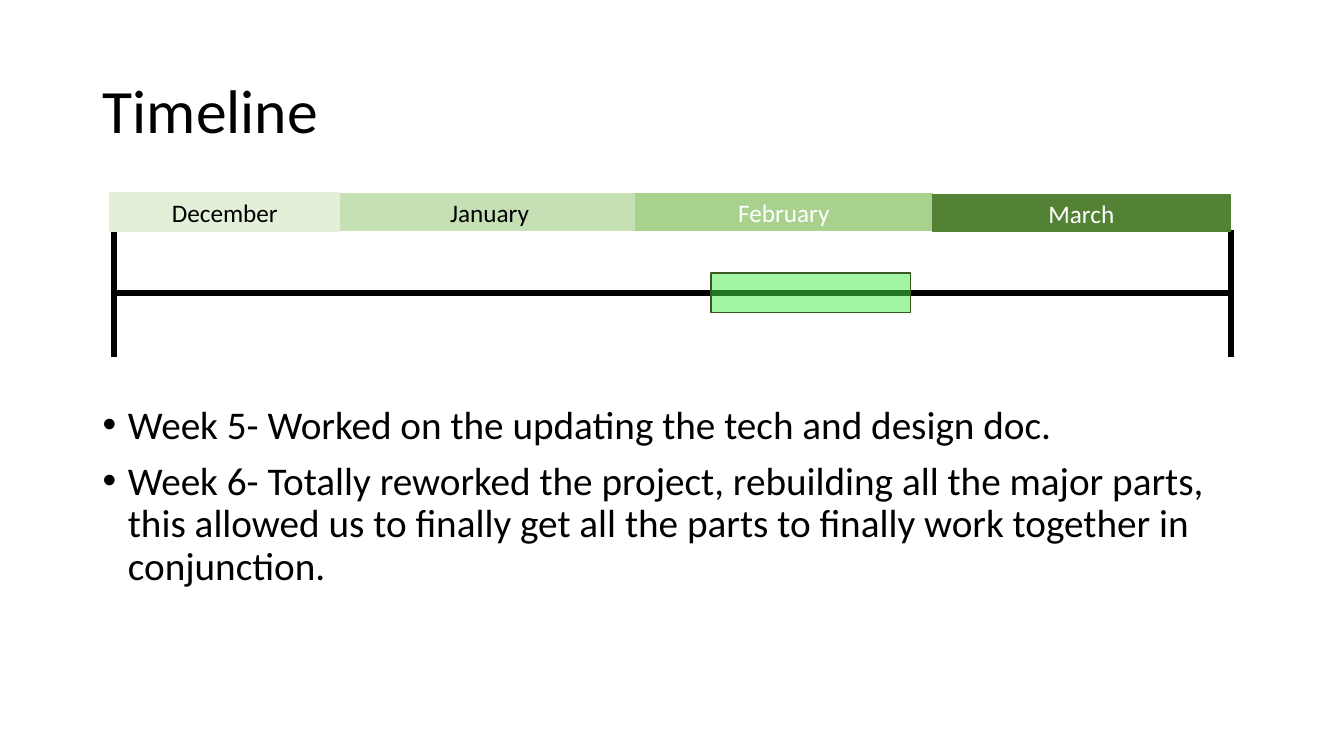
"""Build the Timeline slide with python-pptx."""
from lxml.etree import SubElement as Sub
from pptx import Presentation
from pptx.dml.color import RGBColor as RGB
from pptx.enum.shapes import MSO_CONNECTOR as CON, MSO_SHAPE as SHAPE
from pptx.enum.text import MSO_ANCHOR as ANCHOR, MSO_AUTO_SIZE as AUTO, PP_ALIGN as ALIGN
from pptx.oxml.ns import qn
from pptx.util import Inches, Pt

BLACK = RGB(0x00, 0x00, 0x00)
WHITE = RGB(0xFF, 0xFF, 0xFF)
PALE = RGB(0xE2, 0xF0, 0xD9)
LIGHT = RGB(0xC5, 0xE0, 0xB4)
MID = RGB(0xA9, 0xD1, 0x8E)
DARK = RGB(0x54, 0x82, 0x35)
EDGE = RGB(0x38, 0x57, 0x23)
GLOW = RGB(0x44, 0xEC, 0x48)

LINES = [
    (1.1, 2.91, 12.23, 2.91),
    (12.21, 2.28, 12.21, 3.54),
    (1.13, 2.28, 1.13, 3.54),
]
MONTHS = [
    ("January", (3.38, 1.92, 2.95, 0.37), LIGHT, BLACK),
    ("February", (6.3, 1.92, 2.95, 0.37), MID, WHITE),
    ("March", (9.25, 1.93, 2.95, 0.37), DARK, WHITE),
    ("December", (1.09, 1.91, 2.28, 0.39), PALE, BLACK),
]
WEEKS = [
    "Week 5- Worked on the updating the tech and design doc.",
    "Week 6- Totally reworked the project, rebuilding all the major parts, "
    "this allowed us to finally get all the parts to finally work together in conjunction.",
]


def assign(item, values):
    for name, value in values.items():
        setattr(item, name, value)


class Board:
    def __init__(self, deck, font="Calibri"):
        self.font = font
        self.slide = deck.slides.add_slide(deck.slide_layouts[5])
        self.shapes = self.slide.shapes

    def label(self, para, text, size, color, **form):
        run = para.add_run()
        run.text = text
        assign(run.font, {"name": self.font, "size": Pt(size), "bold": False})
        run.font.color.rgb = color
        assign(para, form)

    def title(self, text, box):
        head = self.shapes.title
        assign(head, dict(zip(("left", "top", "width", "height"), map(Inches, box))))
        frame = head.text_frame
        assign(frame, {"word_wrap": True, "auto_size": AUTO.NONE,
                       "vertical_anchor": ANCHOR.MIDDLE})
        self.label(frame.paragraphs[0], text, 44, BLACK,
                   alignment=ALIGN.LEFT, line_spacing=0.9)

    def bullets(self, items, box):
        frame = self.shapes.add_textbox(*map(Inches, box)).text_frame
        frame.word_wrap = True
        for index, text in enumerate(items):
            para = frame.add_paragraph() if index else frame.paragraphs[0]
            self.label(para, text, 28, BLACK, line_spacing=0.9, space_before=Pt(10))
            props = para._p.get_or_add_pPr()
            props.set("marL", str(Inches(0.25)))
            props.set("indent", str(Inches(-0.25)))
            Sub(props, qn("a:buFont"), typeface="Arial")
            Sub(props, qn("a:buChar"), char="•")

    def line(self, ends, width=4.5):
        link = self.shapes.add_connector(CON.STRAIGHT, *map(Inches, ends))
        link.line.color.rgb = BLACK
        link.line.width = Pt(width)
        Sub(link._element.spPr, qn("a:effectLst"))

    def block(self, box, fill, edge):
        rect = self.shapes.add_shape(SHAPE.RECTANGLE, *map(Inches, box))
        rect.shadow.inherit = False
        rect.fill.solid()
        rect.fill.fore_color.rgb = fill
        rect.line.color.rgb = edge
        rect.line.width = Pt(1)
        return rect

    def month(self, name, box, fill, ink):
        frame = self.block(box, fill, fill).text_frame
        frame.vertical_anchor = ANCHOR.MIDDLE
        self.label(frame.paragraphs[0], name, 18, ink, alignment=ALIGN.CENTER)

    def marker(self, box, fill, edge, alpha):
        rect = self.block(box, fill, edge)
        tint = rect._element.spPr.find(qn("a:solidFill"))[0]
        Sub(tint, qn("a:alpha"), val=str(alpha * 1000))


def main():
    deck = Presentation()
    assign(deck, {"slide_width": Inches(13.33), "slide_height": Inches(7.5)})
    board = Board(deck)
    board.title("Timeline", (0.92, 0.4, 11.5, 1.45))
    board.bullets(WEEKS, (0.92, 3.97, 11.32, 2.88))
    for ends in LINES:
        board.line(ends)
    board.marker((7.05, 2.71, 1.98, 0.39), GLOW, EDGE, 50)
    for month in MONTHS:
        board.month(*month)
    deck.save("out.pptx")


if __name__ == "__main__":
    main()
